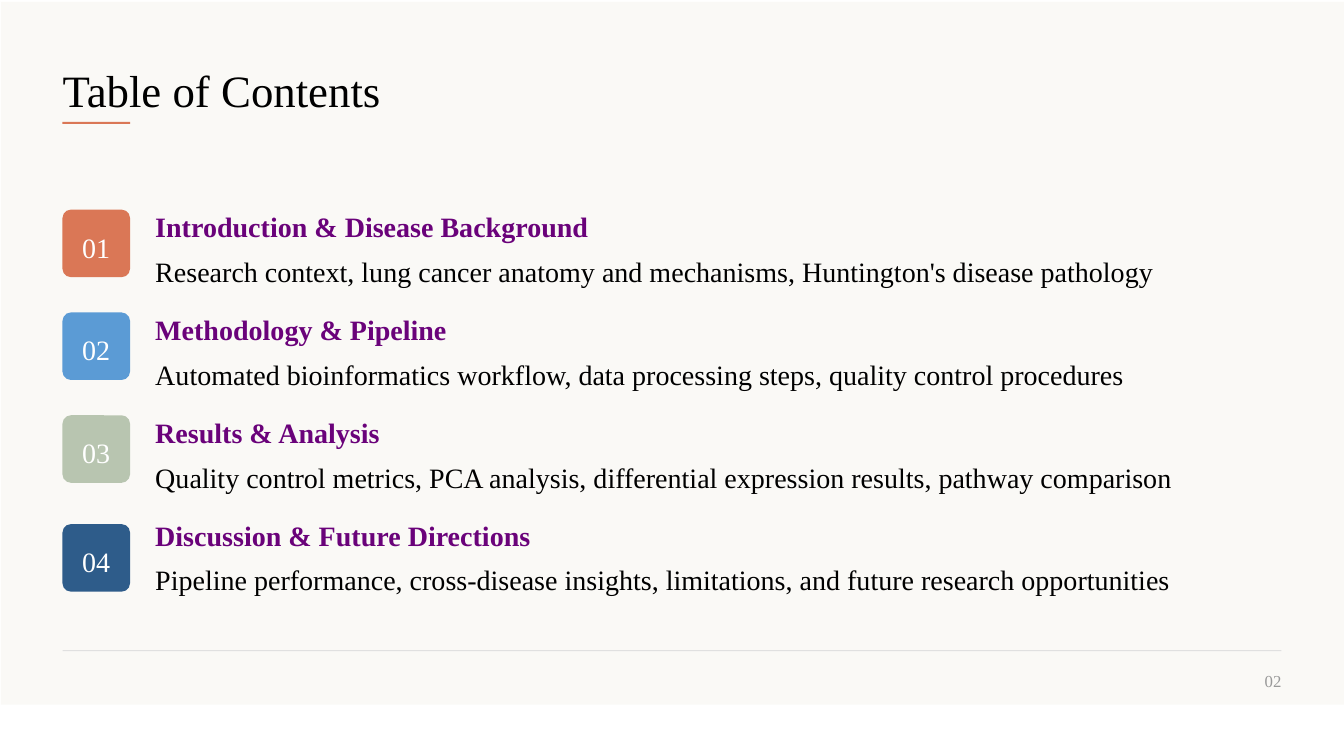
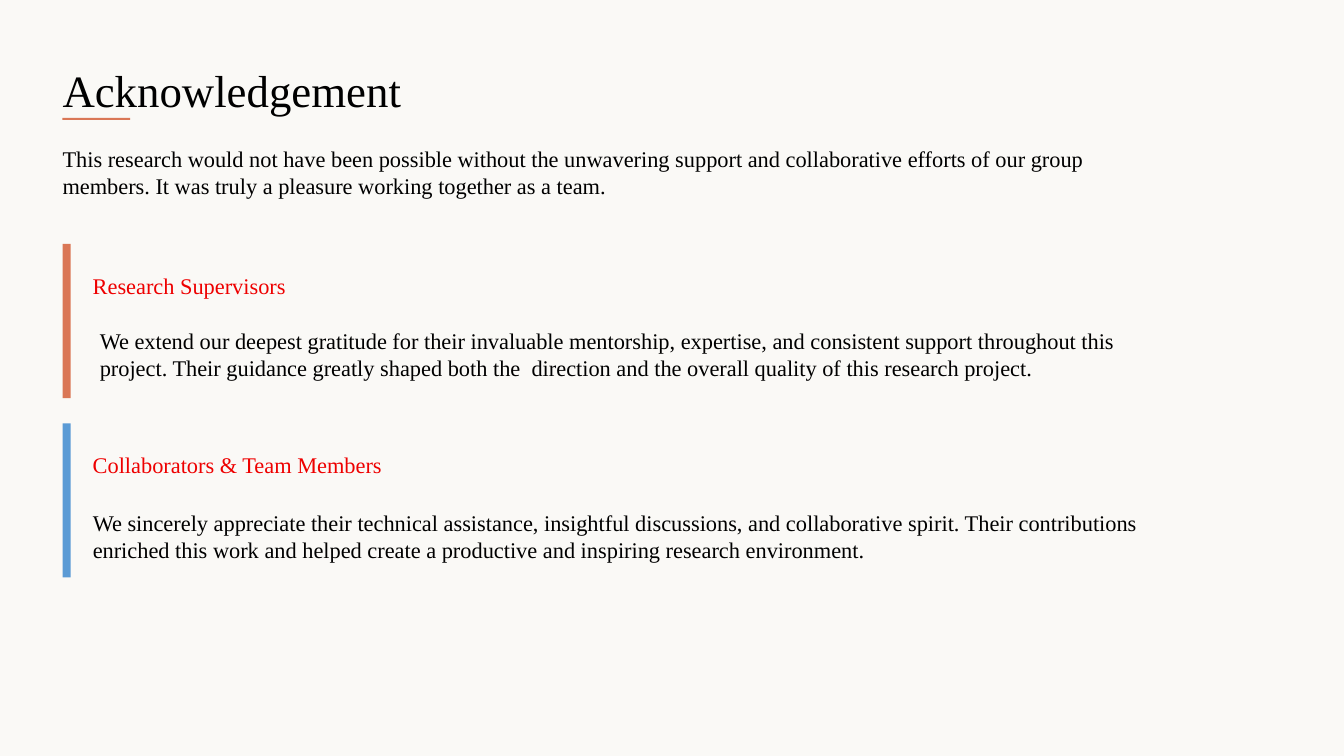
from pptx import Presentation
from pptx.dml.color import RGBColor
from pptx.enum.shapes import MSO_SHAPE
from pptx.enum.text import MSO_ANCHOR, MSO_AUTO_SIZE, PP_ALIGN
from pptx.util import Inches, Pt

FONT = "Times New Roman"
COLORS = {
    "paper": "FAF9F6", "ink": "000000", "white": "FFFFFF", "rule": "E0E0E0",
    "muted": "999999", "purple": "6A027A", "red": "EE0000",
    "coral": "DA7756", "blue": "5B9BD5", "sage": "B8C5B0", "navy": "2E5C8A",
}
LEFT = 0.62
RIGHT = 12.71
BADGE = 0.67
ROW_TOP = 2.08
ROW_PITCH = 1.02

# badge colour, extra badge drop, heading, description
CONTENTS = [
    ("coral", 0, "Introduction & Disease Background",
     "Research context, lung cancer anatomy and mechanisms, Huntington's disease pathology"),
    ("blue", 0, "Methodology & Pipeline",
     "Automated bioinformatics workflow, data processing steps, quality control procedures"),
    ("sage", 0, "Results & Analysis",
     "Quality control metrics, PCA analysis, differential expression results, pathway comparison"),
    ("navy", 0.06, "Discussion & Future Directions",
     "Pipeline performance, cross-disease insights, limitations, and future research opportunities"),
]

INTRO = ("This research would not have been possible without the unwavering support and "
         "collaborative efforts of our group members. It was truly a pleasure working "
         "together as a team.")
# bar colour, bar top, heading, text left, text top, text
THANKS = [
    ("coral", 2.42, "Research Supervisors", 0.99, 3.25,
     "We extend our deepest gratitude for their invaluable mentorship, expertise, and "
     "consistent support throughout this project. Their guidance greatly shaped both the  "
     "direction and the overall quality of this research project."),
    ("blue", 4.2, "Collaborators & Team Members", 0.92, 5.05,
     "We sincerely appreciate their technical assistance, insightful discussions, and "
     "collaborative spirit. Their contributions enriched this work and helped create a "
     "productive and inspiring research environment."),
]
TEXT_RIGHT = 11.53


def rgb(name):
    return RGBColor.from_string(COLORS[name])


def place(sp, left, top, width, height):
    sp.left, sp.top = Inches(left), Inches(top)
    sp.width, sp.height = Inches(width), Inches(height)


def style(p, size, color, bold=False, align=PP_ALIGN.LEFT):
    p.alignment = align
    for r in p.runs:
        r.font.name, r.font.size, r.font.bold = FONT, Pt(size), bold
        r.font.color.rgb = rgb(color)


def clear_frame(tf, anchor=MSO_ANCHOR.TOP):
    """Drop the margins and autofit, and wrap the text."""
    tf.margin_left = tf.margin_right = tf.margin_top = tf.margin_bottom = 0
    tf.word_wrap = True
    tf.auto_size = MSO_AUTO_SIZE.NONE
    tf.vertical_anchor = anchor


def add_text(slide, left, top, width, height, text, size, color, align=PP_ALIGN.LEFT):
    sp = slide.shapes.add_textbox(0, 0, 0, 0)
    place(sp, left, top, width, height)
    tf = sp.text_frame
    clear_frame(tf)
    tf.text = text
    style(tf.paragraphs[0], size, color, align=align)
    return tf


def add_block(slide, left, top, width, height, color, kind=MSO_SHAPE.RECTANGLE):
    sp = slide.shapes.add_shape(kind, Inches(left), Inches(top), Inches(width), Inches(height))
    sp.shadow.inherit = False
    sp.fill.solid()
    sp.fill.fore_color.rgb = rgb(color)
    sp.line.fill.background()
    return sp


def add_titled_slide(prs, title, underline_top):
    slide = prs.slides.add_slide(prs.slide_layouts[5])
    sp = slide.shapes.title
    place(sp, LEFT, 0.62, RIGHT - LEFT, 0.54)
    clear_frame(sp.text_frame)
    sp.text_frame.text = title
    style(sp.text_frame.paragraphs[0], 32, "ink")
    add_block(slide, LEFT, underline_top, BADGE, 0.02, "coral")
    return slide


def add_contents(prs):
    slide = add_titled_slide(prs, "Table of Contents", 1.21)
    panel = add_block(slide, 0.01, 0.02, 13.32, 6.97, "paper")
    slide.shapes.title.element.addprevious(panel.element)

    for i, (color, drop, heading, description) in enumerate(CONTENTS):
        top = ROW_TOP + i * ROW_PITCH
        badge = add_block(slide, LEFT, top + drop, BADGE, BADGE, color,
                          MSO_SHAPE.ROUNDED_RECTANGLE)
        badge.adjustments[0] = 0.125
        tf = badge.text_frame
        clear_frame(tf, MSO_ANCHOR.MIDDLE)
        tf.margin_top = Inches(0.07)
        tf.text = f"{i + 1:02d}"
        style(tf.paragraphs[0], 20, "white", align=PP_ALIGN.CENTER)

        tf = add_text(slide, 1.54, top, RIGHT - 1.54, 0.77, heading, 20, "purple")
        style(tf.paragraphs[0], 20, "purple", bold=True)
        p = tf.add_paragraph()
        p.text = description
        p.space_before = Pt(8)
        style(p, 20, "ink")

    add_block(slide, LEFT, 6.45, RIGHT - LEFT, 0.01, "rule")
    add_text(slide, RIGHT - 0.5, 6.65, 0.5, 0.19, "02", 12, "muted", PP_ALIGN.RIGHT)


def add_acknowledgement(prs):
    slide = add_titled_slide(prs, "Acknowledgement", 1.17)
    slide.background.fill.solid()
    slide.background.fill.fore_color.rgb = rgb("paper")
    add_text(slide, LEFT, 1.44, TEXT_RIGHT - LEFT, 0.54, INTRO, 16, "ink")
    for color, top, heading, text_left, text_top, text in THANKS:
        add_block(slide, LEFT, top, 0.08, 1.53, color)
        add_text(slide, 0.92, top + 0.28, 4, 0.27, heading, 16, "red")
        add_text(slide, text_left, text_top, TEXT_RIGHT - text_left, 0.54, text, 16, "ink")


def main():
    prs = Presentation()
    prs.slide_width, prs.slide_height = Inches(13.33), Inches(7.5)
    add_contents(prs)
    add_acknowledgement(prs)
    prs.save("out.pptx")


if __name__ == "__main__":
    main()
